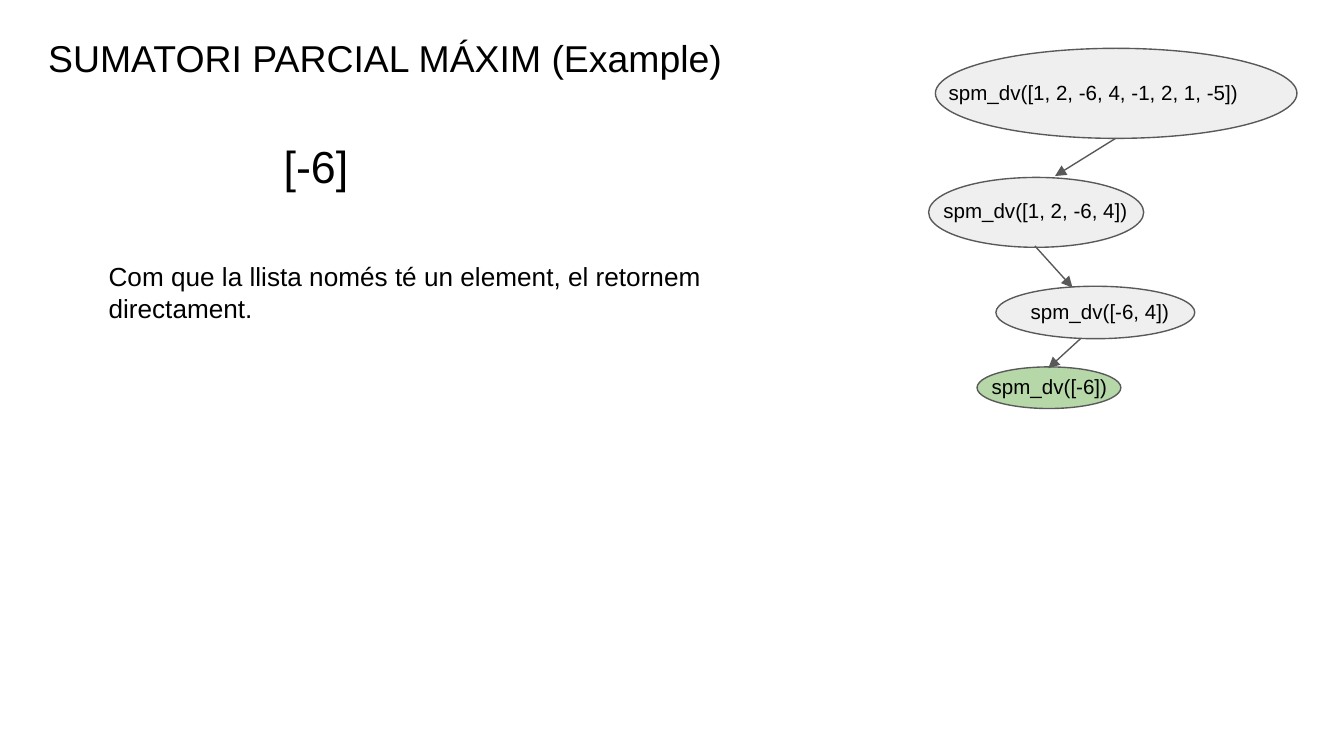
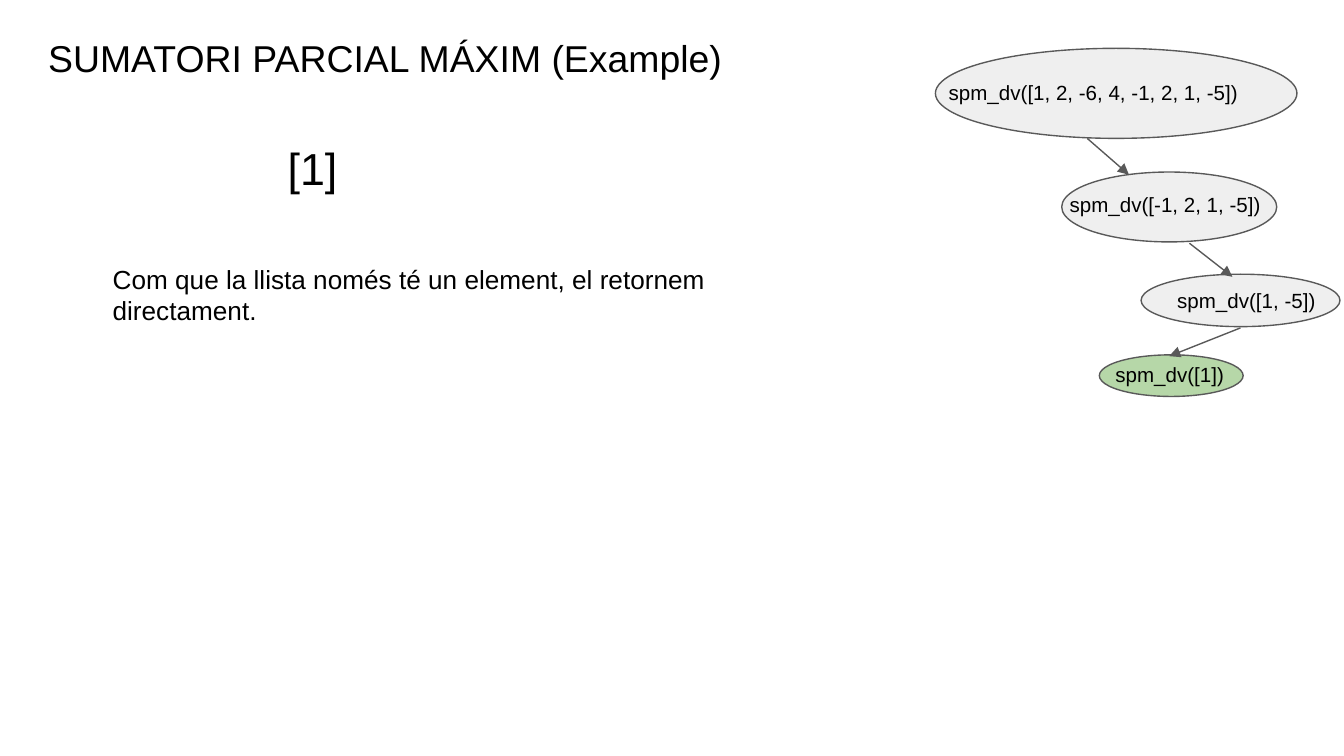
from dataclasses import dataclass

from lxml import etree
from pptx import Presentation
from pptx.dml.color import RGBColor
from pptx.enum.shapes import MSO_CONNECTOR, MSO_SHAPE
from pptx.enum.text import MSO_ANCHOR
from pptx.oxml.ns import qn
from pptx.slide import Slide
from pptx.util import Inches, Pt

OVAL = MSO_SHAPE.OVAL
STRAIGHT = MSO_CONNECTOR.STRAIGHT
TOP = MSO_ANCHOR.TOP

SLIDE_WIDTH = Inches(10)
SLIDE_HEIGHT = SLIDE_WIDTH * 9 // 16
COLORS = {"text": "000000", "call": "EFEFEF", "current": "B6D7A8", "line": "595959"}
FONT = "Arial"
LINE_WIDTH = Pt(0.75)
INSET = 0.1
TITLE = "SUMATORI PARCIAL MÁXIM (Example)"
EXPLANATION = "Com que la llista només té un element, el retornem directament."
LABEL_SIZE = (2.81, 0.33)

Point = tuple[float, float]


@dataclass
class Call:
    """One recursive call: an ellipse and its label."""
    text: str
    at: Point
    size: Point
    label_at: Point
    fill: str = "call"


@dataclass
class Arrow:
    start: Point
    end: Point


@dataclass
class Example:
    """One slide: the list under study and the calls leading to it."""
    values: str
    values_at: Point
    explanation_at: Point
    calls: list[Call]
    arrows: list[Arrow]


ROOT = Call("spm_dv([1, 2, -6, 4, -1, 2, 1, -5])", (6.96, 0.36), (2.69, 0.67), (6.96, 0.5))
HALF_SIZE = (1.6, 0.52)
QUARTER_SIZE = (1.48, 0.39)
LEAF_SIZE = (1.07, 0.31)

EXAMPLES = [
    Example(
        "[-6]", (1.64, 0.93), (0.71, 1.84),
        [
            ROOT,
            Call("spm_dv([1, 2, -6, 4])", (6.91, 1.32), HALF_SIZE, (6.92, 1.38)),
            Call("spm_dv([-6, 4])", (7.41, 2.13), QUARTER_SIZE, (7.57, 2.13)),
            Call("spm_dv([-6])", (7.27, 2.73), LEAF_SIZE, (7.28, 2.69), "current"),
        ],
        [
            Arrow((8.3, 1.03), (7.85, 1.31)),
            Arrow((7.7, 1.83), (7.98, 2.14)),
            Arrow((8.04, 2.52), (7.8, 2.74)),
        ],
    ),
    Example(
        "[1]", (1.67, 0.95), (0.74, 1.86),
        [
            ROOT,
            Call("spm_dv([-1, 2, 1, -5])", (7.9, 1.28), HALF_SIZE, (7.86, 1.34)),
            Call("spm_dv([1, -5])", (8.49, 2.04), QUARTER_SIZE, (8.66, 2.05)),
            Call("spm_dv([1])", (8.18, 2.64), LEAF_SIZE, (8.2, 2.6), "current"),
        ],
        [
            Arrow((8.09, 1.03), (8.4, 1.3)),
            Arrow((8.85, 1.81), (9.17, 2.06)),
            Arrow((9.23, 2.44), (8.7, 2.65)),
        ],
    ),
]


def color(name: str) -> RGBColor:
    return RGBColor.from_string(COLORS[name])


def add_text(page: Slide, text: str, at: Point, size: Point, points: int,
             indent: float = 0) -> None:
    box = page.shapes.add_textbox(*map(Inches, at + size))
    frame = box.text_frame
    frame.word_wrap = True
    frame.vertical_anchor = TOP
    frame.margin_left = Inches(INSET + indent)
    frame.margin_right = frame.margin_top = frame.margin_bottom = Inches(INSET)
    frame.text = text
    font = frame.paragraphs[0].runs[0].font
    font.name = FONT
    font.size = Pt(points)
    font.color.rgb = color("text")


def add_call(page: Slide, call: Call) -> None:
    ellipse = page.shapes.add_shape(OVAL, *map(Inches, call.at + call.size))
    ellipse.shadow.inherit = False
    ellipse.fill.solid()
    ellipse.fill.fore_color.rgb = color(call.fill)
    ellipse.line.color.rgb = color("line")
    ellipse.line.width = LINE_WIDTH
    add_text(page, call.text, call.label_at, LABEL_SIZE, 11)


def add_arrow(page: Slide, arrow: Arrow) -> None:
    connector = page.shapes.add_connector(STRAIGHT, *map(Inches, arrow.start + arrow.end))
    connector.line.color.rgb = color("line")
    connector.line.width = LINE_WIDTH
    properties = connector._element.spPr
    # Triangle at the end, and no shadow
    etree.SubElement(properties.find(qn("a:ln")), qn("a:tailEnd"), type="triangle")
    etree.SubElement(properties, qn("a:effectLst"))


def fill_page(page: Slide, example: Example) -> None:
    add_text(page, TITLE, (0.26, 0.16), (8.32, 0.52), 20)
    # Call tree
    for call in example.calls:
        add_call(page, call)
    for arrow in example.arrows:
        add_arrow(page, arrow)
    # List and explanation
    add_text(page, example.values, example.values_at, (2.12, 0.52), 24, indent=0.37)
    add_text(page, EXPLANATION, example.explanation_at, (5.07, 0.52), 14)


def main() -> None:
    deck = Presentation()
    deck.slide_width = SLIDE_WIDTH
    deck.slide_height = SLIDE_HEIGHT
    blank = deck.slide_layouts[6]
    for example in EXAMPLES:
        fill_page(deck.slides.add_slide(blank), example)
    deck.save("out.pptx")


if __name__ == "__main__":
    main()
